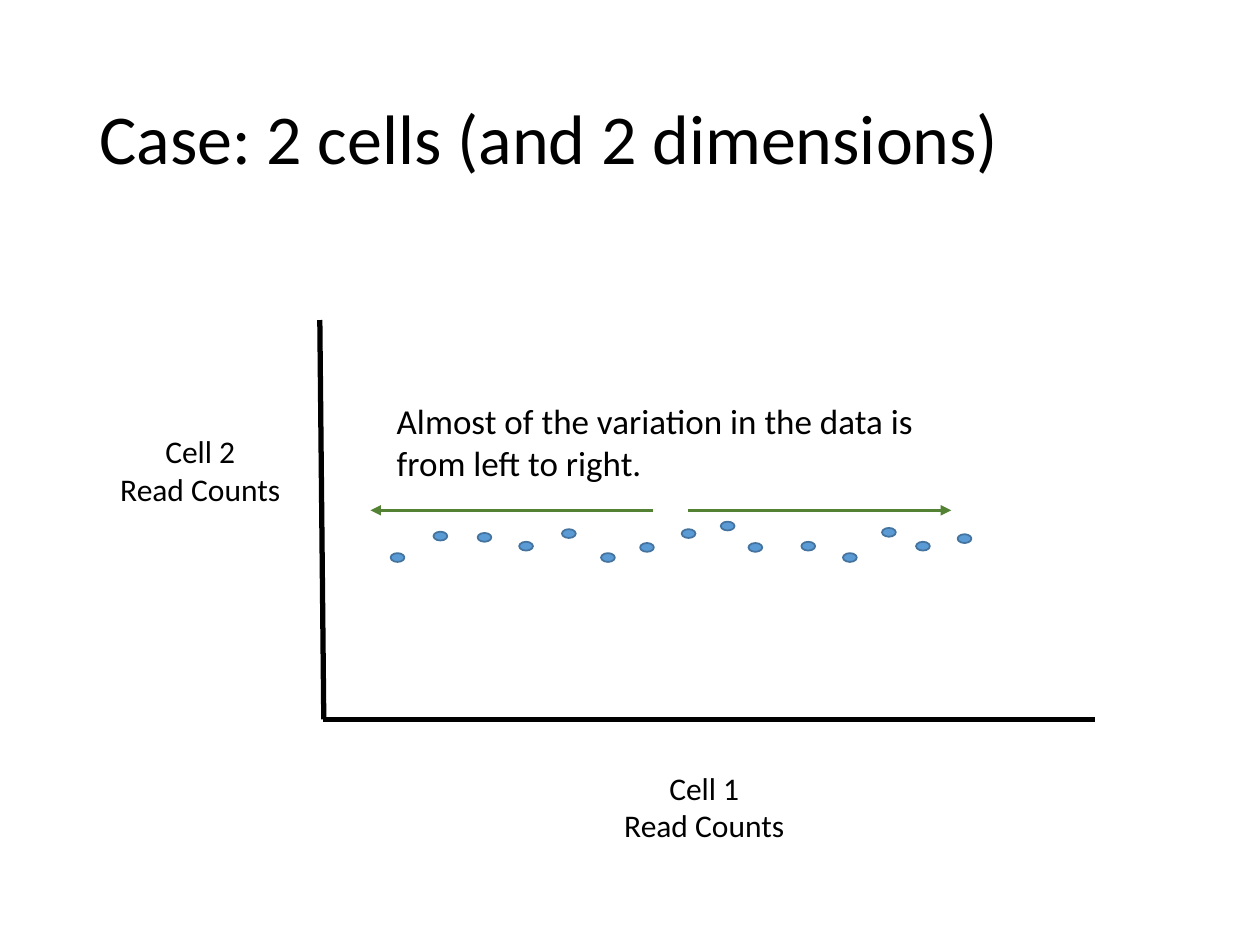
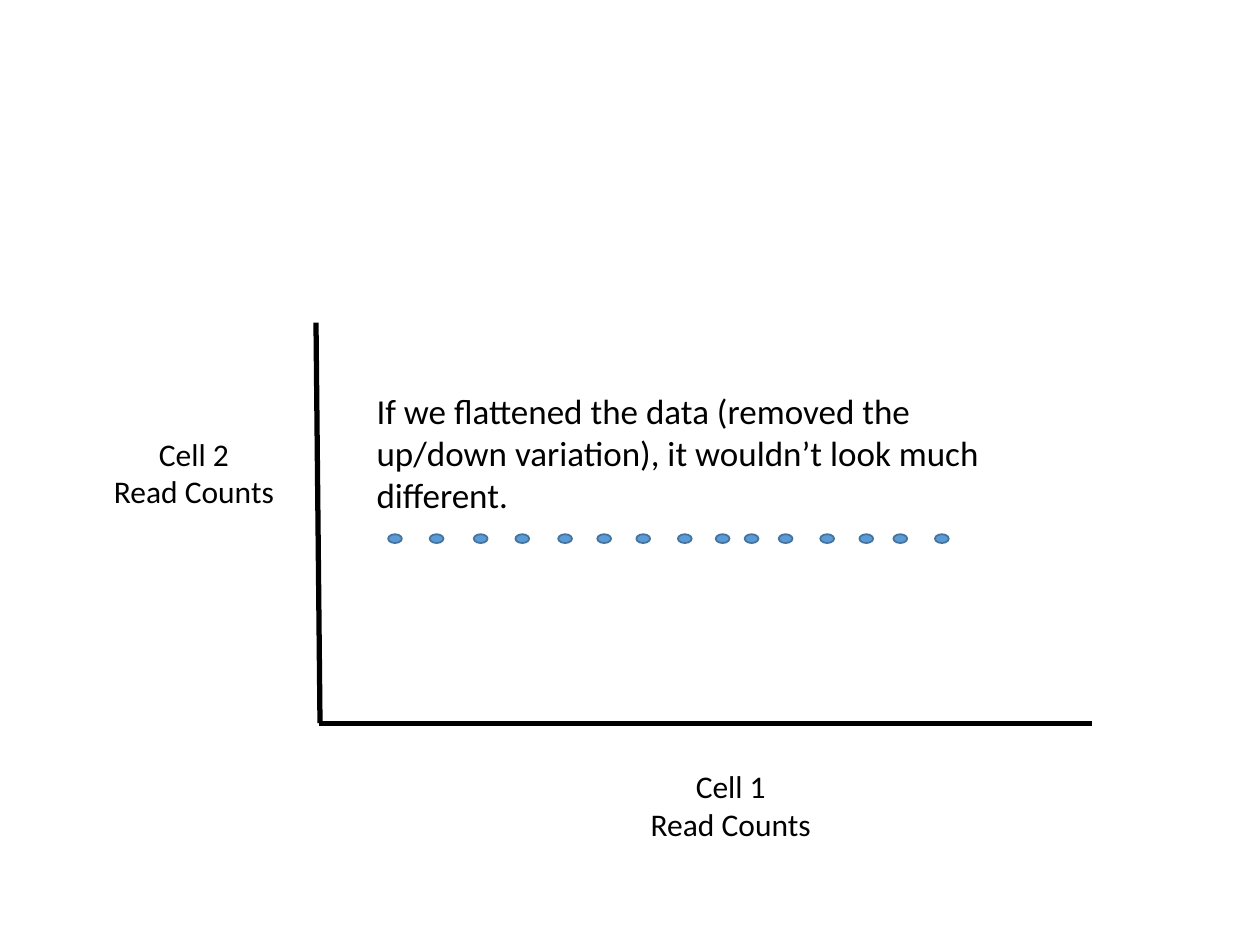
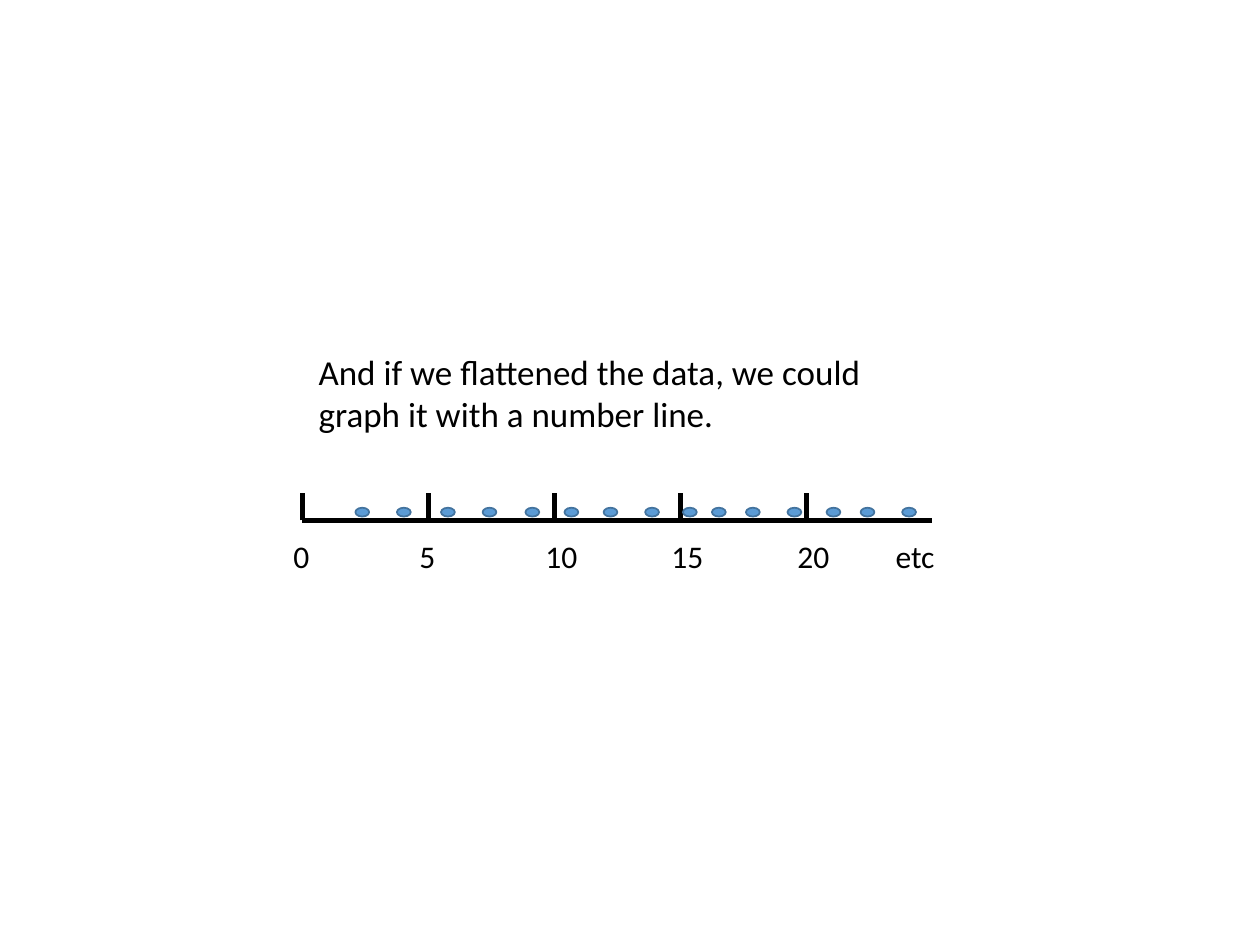
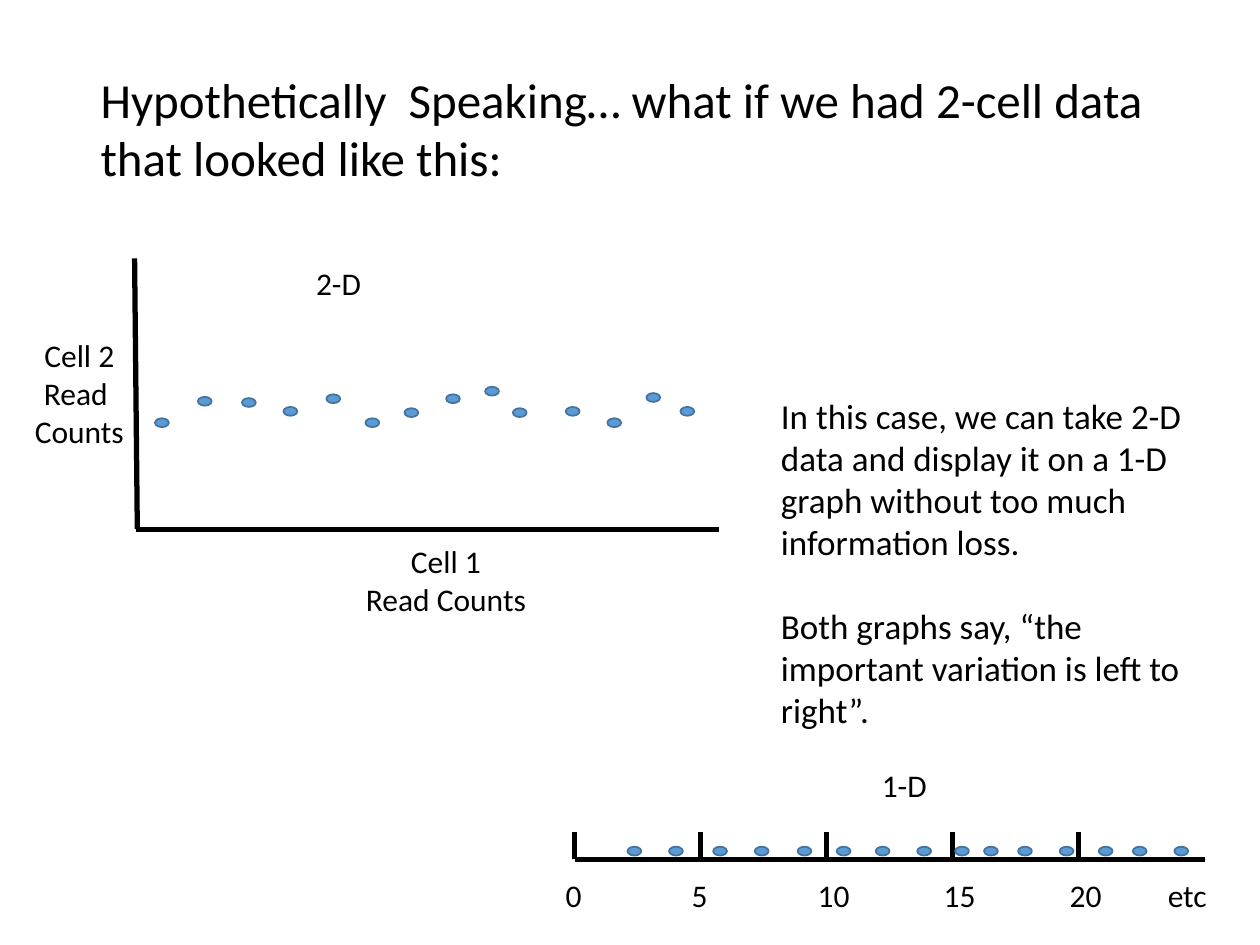
from lxml.etree import SubElement
from pptx import Presentation
from pptx.dml.color import RGBColor
from pptx.enum.shapes import MSO_CONNECTOR as Connector, MSO_SHAPE as Shape
from pptx.enum.text import MSO_ANCHOR as Anchor, MSO_AUTO_SIZE as AutoSize, PP_ALIGN as Align
from pptx.oxml.ns import qn
from pptx.util import Inches, Pt

COLOURS = {"ink": "000000", "dot": "5B9BD5", "dot_edge": "43739E", "arrow": "548235"}
FONT = "Calibri"
SIZES = {"title": 40, "question": 28, "body": 20, "label": 18}
WIDTH, HEIGHT = 10, 7.5
DOT_WIDTH, DOT_HEIGHT = 0.11, 0.07
TICK_GAP, TICK_HEIGHT = 1, 0.22

SCATTER = [
    (0, 0.25), (0.34, 0.08), (0.69, 0.09), (1.02, 0.16), (1.36, 0.06),
    (1.67, 0.25), (1.98, 0.17), (2.31, 0.06), (2.62, 0), (2.84, 0.17),
    (3.26, 0.16), (3.59, 0.25), (3.9, 0.05), (4.17, 0.16), (4.5, 0.1),
]
FLAT = [(across, 0) for across in (
    0, 0.33, 0.68, 1.01, 1.35, 1.66, 1.97, 2.3, 2.6, 2.83, 3.1, 3.43, 3.74, 4.01, 4.34)]
TICKS = ["0", "5", "10", "15", "20"]
CELL_1 = ["Cell 1", "Read Counts"]
CELL_2 = ["Cell 2", "Read Counts"]
CELL_2_NARROW = ["Cell 2", "Read ", "Counts"]

SLIDES = [
    {
        "texts": [
            ("title", (0.69, 0.4, 8.62, 1.45), ["Case: 2 cells (and 2 dimensions)"]),
            ("axis", (0.81, 3.38, 1.56, 0.71), CELL_2),
            ("axis", (4.81, 6.05, 1.56, 0.71), CELL_1),
            ("body", (3.05, 3.12, 4.72, 0.77),
             ["Almost of the variation in the data is from left to right."]),
        ],
        "axes": (2.56, 5.71, 6.13, 3.17),
        "dots": (3.1, 4.14, SCATTER),
        "arrows": [(5.18, 2.94, 4.05), (5.46, 7.55, 4.05)],
    },
    {
        "texts": [
            ("axis", (0.76, 3.4, 1.56, 0.71), CELL_2),
            ("axis", (5.02, 6.04, 1.56, 0.71), CELL_1),
            ("body", (2.89, 3.04, 5.09, 1.11),
             ["If we flattened the data (removed the up/down variation), "
              "it wouldn’t look much different."]),
        ],
        "axes": (2.53, 5.74, 6.14, 3.18),
        "dots": (3.08, 4.24, FLAT),
    },
    {
        "texts": [
            ("body", (2.43, 2.73, 5.09, 0.77),
             ["And if we flattened the data, we could graph it with a number line."]),
        ],
        "number_line": (2.4, 4.13),
    },
    {
        "texts": [
            ("axis", (-0.15, 2.62, 1.56, 1.01), CELL_2_NARROW),
            ("axis", (2.76, 4.25, 1.56, 0.71), CELL_1),
            ("label", (2.41, 2.05, 2.31, 0.4), ["2-D"]),
            ("label", (6.9, 6.03, 2.31, 0.4), ["1-D"]),
            ("body", (6.1, 3.08, 3.63, 2.79),
             ["In this case, we can take 2-D data and display it on a 1-D graph "
              "without too much information loss.",
              "Both graphs say, “the important variation is left to right”."]),
            ("question", (0.7, 0.5, 8.62, 1.04),
             ["Hypothetically  Speaking… what if we had 2-cell data that looked like this:"]),
        ],
        "axes": (1.08, 4.2, 4.63, 2.15),
        "dots": (1.23, 3.07, SCATTER[:-1]),
        "number_line": (4.56, 6.82),
    },
]


def colour(name):
    return RGBColor.from_string(COLOURS[name])


def add_text(slide, role, box, lines):
    shape = slide.shapes.add_textbox(*map(Inches, box))
    frame = shape.text_frame
    frame.word_wrap = True
    frame.auto_size = AutoSize.NONE if role == "title" else AutoSize.SHAPE_TO_FIT_TEXT
    frame.vertical_anchor = Anchor.MIDDLE if role == "title" else Anchor.TOP
    for index, line in enumerate(lines):
        paragraph = frame.add_paragraph() if index else frame.paragraphs[0]
        paragraph.alignment = Align.CENTER if role == "axis" else Align.LEFT
        if role == "title":
            paragraph.line_spacing = 0.9
        if role == "body" and index:
            paragraph.space_before = Pt(24)
        run = paragraph.add_run()
        run.text = line
        run.font.name = FONT
        run.font.size = Pt(SIZES["label" if role == "axis" else role])
        run.font.color.rgb = colour("ink")


def add_line(slide, start, end, name="ink", weight=3, arrow=False):
    line = slide.shapes.add_connector(Connector.STRAIGHT, *map(Inches, (*start, *end)))
    line.line.color.rgb = colour(name)
    line.line.width = Pt(weight)
    if arrow:
        SubElement(line.line._get_or_add_ln(), qn("a:tailEnd"), type="triangle")
    SubElement(line._element.spPr, qn("a:effectLst"))


def add_axes(slide, left, base, width, height):
    foot = left + 0.01
    add_line(slide, (foot - 0.01 * height, base - height), (foot, base))
    add_line(slide, (left, base), (left + width, base))


def add_dots(slide, left, top, offsets):
    for across, down in offsets:
        box = (left + across, top + down, DOT_WIDTH, DOT_HEIGHT)
        dot = slide.shapes.add_shape(Shape.FLOWCHART_CONNECTOR, *map(Inches, box))
        dot.shadow.inherit = False
        dot.fill.solid()
        dot.fill.fore_color.rgb = colour("dot")
        dot.line.color.rgb = colour("dot_edge")
        dot.line.width = Pt(1)


def add_number_line(slide, left, base):
    add_line(slide, (left, base), (left + len(TICKS) * TICK_GAP, base))
    for index, label in enumerate(TICKS):
        tick = left + index * TICK_GAP
        add_line(slide, (tick, base), (tick, base - TICK_HEIGHT))
        add_text(slide, "label", (tick - 0.17, base + 0.08, 0.48, 0.4), [label])
    add_text(slide, "label", (left + 4.61, base + 0.08, 0.86, 0.4), ["etc"])
    add_dots(slide, left + 0.42, base - 0.1, FLAT)


def main():
    presentation = Presentation()
    presentation.slide_width, presentation.slide_height = Inches(WIDTH), Inches(HEIGHT)
    for content in SLIDES:
        slide = presentation.slides.add_slide(presentation.slide_layouts[6])
        if "axes" in content:
            add_axes(slide, *content["axes"])
        if "dots" in content:
            add_dots(slide, *content["dots"])
        if "number_line" in content:
            add_number_line(slide, *content["number_line"])
        for start, end, level in content.get("arrows", []):
            add_line(slide, (start, level), (end, level), "arrow", 2, arrow=True)
        for role, box, lines in content["texts"]:
            add_text(slide, role, box, lines)
    presentation.save("out.pptx")


if __name__ == "__main__":
    main()
